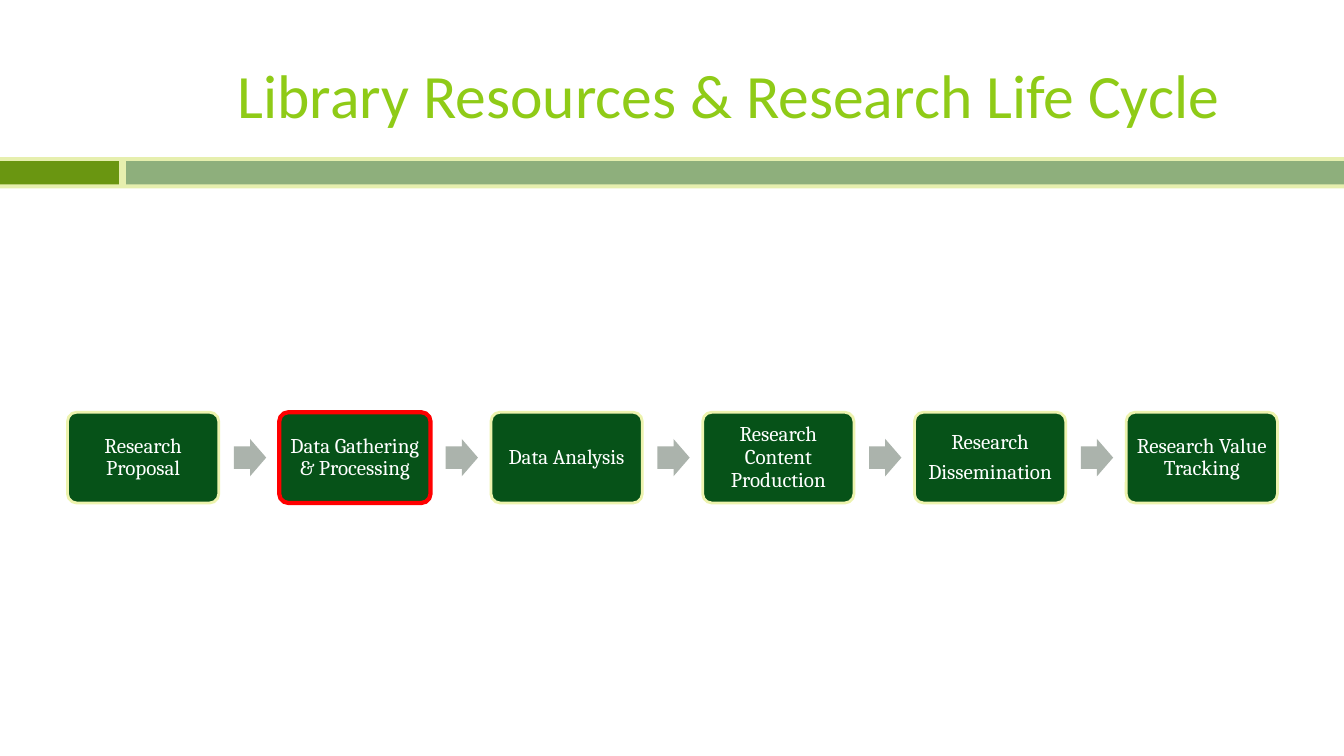
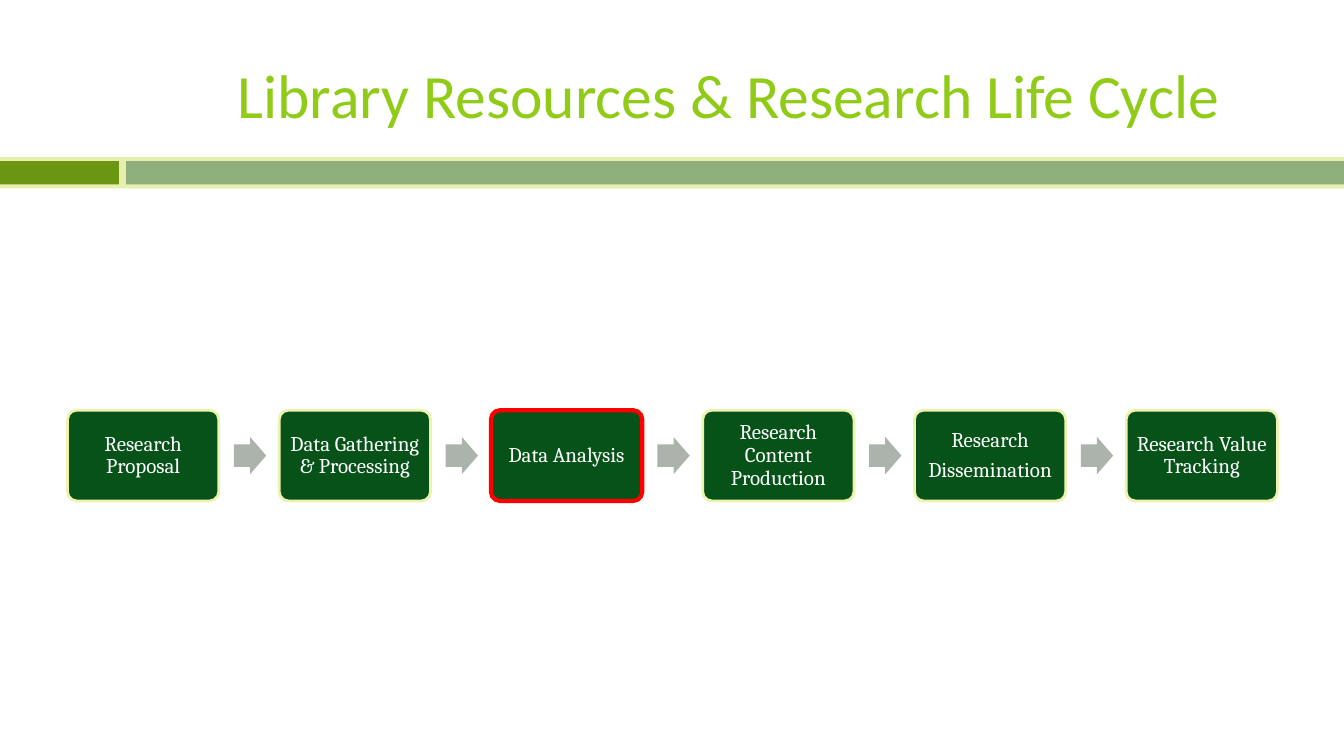
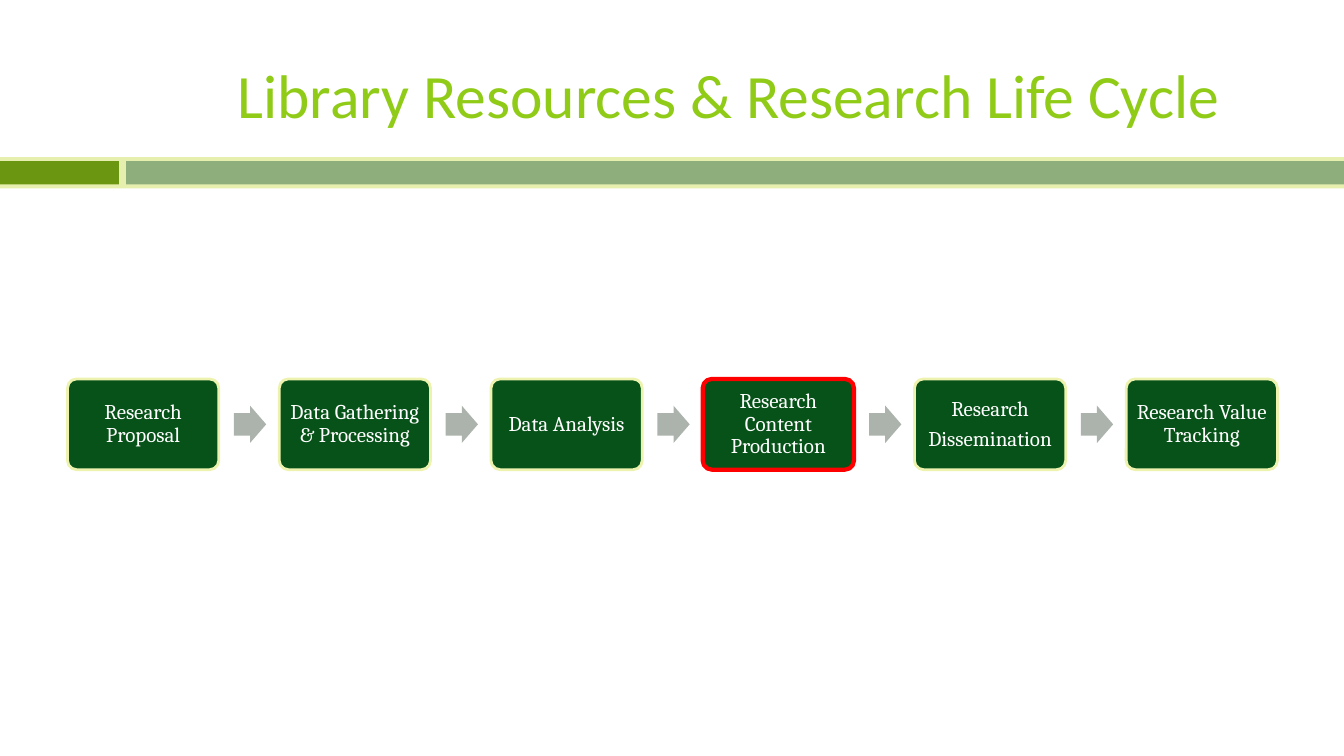
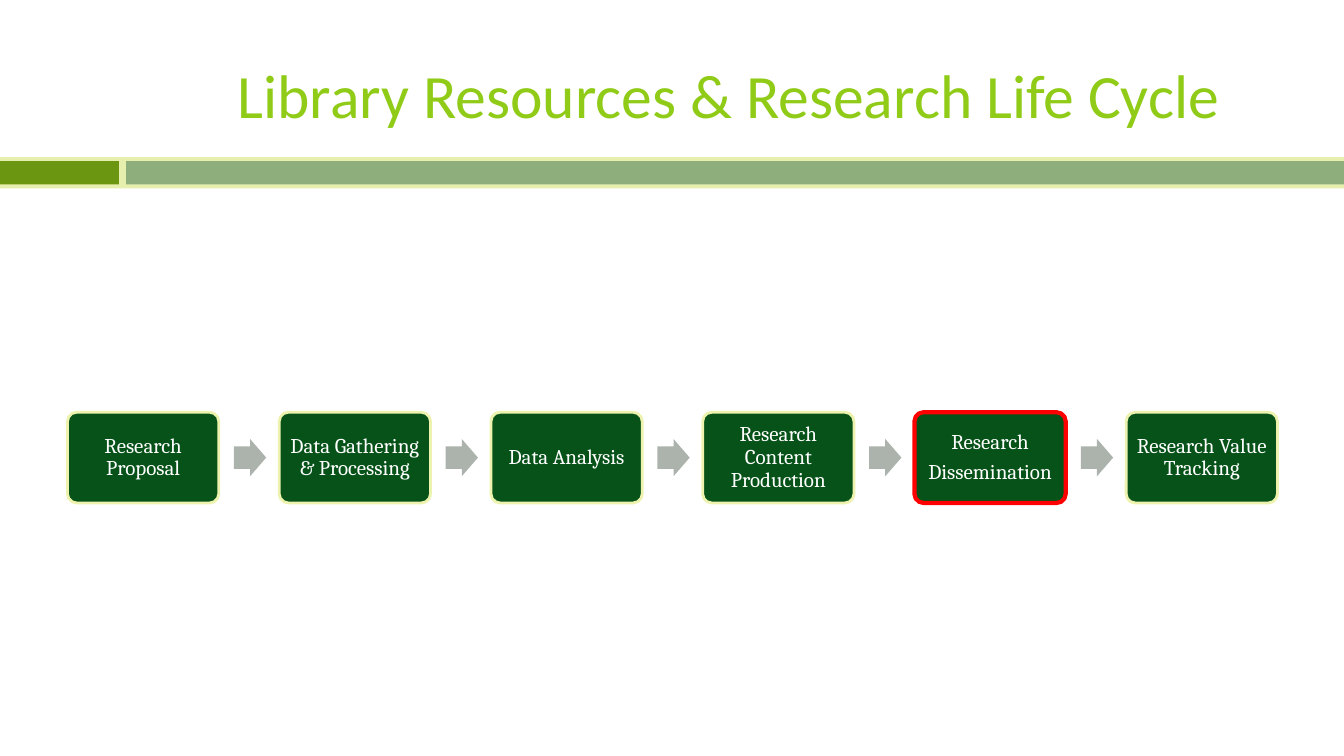
"""Build four slides that step through the research life cycle."""
from dataclasses import dataclass

from pptx import Presentation
from pptx.dml.color import RGBColor
from pptx.enum.shapes import MSO_SHAPE
from pptx.enum.text import MSO_ANCHOR, PP_ALIGN
from pptx.text.text import Font
from pptx.util import Inches, Pt

RECT = MSO_SHAPE.RECTANGLE
ROUND_RECT = MSO_SHAPE.ROUNDED_RECTANGLE
RIGHT_ARROW = MSO_SHAPE.RIGHT_ARROW
MIDDLE = MSO_ANCHOR.MIDDLE
CENTER = PP_ALIGN.CENTER


@dataclass(frozen=True)
class Theme:
    title: str = "8FCB17"
    band: str = "E6EFAE"
    band_left: str = "6A9611"
    band_right: str = "8EAF7C"
    box: str = "065218"
    box_line: str = "EDF3AE"
    current_line: str = "FF0000"
    arrow: str = "ABB3AC"
    text: str = "FFFFFF"
    title_font: str = "Calibri"
    text_font: str = "Cambria"
    title_size: float = 44
    text_size: float = 15
    space_after: float = 5.25
    line_width: float = 2
    current_width: float = 3


theme = Theme()

TITLE = "Library Resources & Research Life Cycle"
STAGES = [
    "Research Proposal",
    "Data Gathering & Processing",
    "Data Analysis",
    "Research Content Production",
    "Research\nDissemination",
    "Research Value Tracking",
]
SLIDES = [
    ("Data Gathering & Processing", 4.09),
    ("Data Analysis", 4.07),
    ("Research Content Production", 3.76),
    ("Research\nDissemination", 4.09),
]
SLIDE_W, SLIDE_H = 13.33, 7.5
BOX_LEFT, BOX_W, BOX_H, PITCH = 0.67, 1.5, 0.9, 2.1
ARROW_OFFSET, ARROW_W, ARROW_H = 1.65, 0.32, 0.37
BOX_INSET = 0.06


def add_filled(s, kind, left, top, width, height, color):
    sp = s.shapes.add_shape(kind, Inches(left), Inches(top), Inches(width), Inches(height))
    sp.shadow.inherit = False
    sp.fill.solid()
    sp.fill.fore_color.rgb = RGBColor.from_string(color)
    sp.line.fill.background()
    return sp


prs = Presentation()
prs.slide_width, prs.slide_height = Inches(SLIDE_W), Inches(SLIDE_H)
layout = prs.slide_layouts.get_by_name("Title Only")

title = layout.placeholders[0]
title.left, title.top = Inches(1.23), Inches(0.31)
title.width, title.height = Inches(12), Inches(1.25)
title_style = prs.slide_master.element.xpath(".//p:titleStyle/a:lvl1pPr/a:defRPr")[0]
font = Font(title_style)
font.name, font.size = theme.title_font, Pt(theme.title_size)
font.color.rgb = RGBColor.from_string(theme.title)

slides = [prs.slides.add_slide(layout) for _ in SLIDES]

bands = [
    (0, 1.56, SLIDE_W, 0.31, theme.band),
    (0, 1.6, 1.18, 0.23, theme.band_left),
    (1.25, 1.6, 12.08, 0.23, theme.band_right),
]
for i, band in enumerate(bands):
    sp = add_filled(slides[0], RECT, *band)
    layout.shapes.element.insert(2 + i, sp.element)

for s, (current, top) in zip(slides, SLIDES):
    s.shapes.title.text_frame.text = TITLE
    for i, stage in enumerate(STAGES):
        left = BOX_LEFT + i * PITCH
        sp = add_filled(s, ROUND_RECT, left, top, BOX_W, BOX_H, theme.box)
        sp.adjustments[0] = 0.1
        is_current = stage == current
        line_color = theme.current_line if is_current else theme.box_line
        sp.line.color.rgb = RGBColor.from_string(line_color)
        sp.line.width = Pt(theme.current_width if is_current else theme.line_width)

        tf = sp.text_frame
        tf.text = stage
        tf.word_wrap = True
        tf.vertical_anchor = MIDDLE
        tf.margin_left = tf.margin_right = Inches(BOX_INSET)
        tf.margin_top = tf.margin_bottom = Inches(BOX_INSET)
        for p in tf.paragraphs:
            p.alignment = CENTER
            p.line_spacing = 0.9
            p.space_after = Pt(theme.space_after)
            for r in p.runs:
                r.font.name, r.font.size = theme.text_font, Pt(theme.text_size)
                r.font.color.rgb = RGBColor.from_string(theme.text)

        if i < len(STAGES) - 1:
            arrow_top = top + (BOX_H - ARROW_H) / 2
            arrow = add_filled(s, RIGHT_ARROW, left + ARROW_OFFSET, arrow_top,
                               ARROW_W, ARROW_H, theme.arrow)
            arrow.adjustments[0] = 0.6
            arrow.adjustments[1] = 0.5

prs.save("out.pptx")
